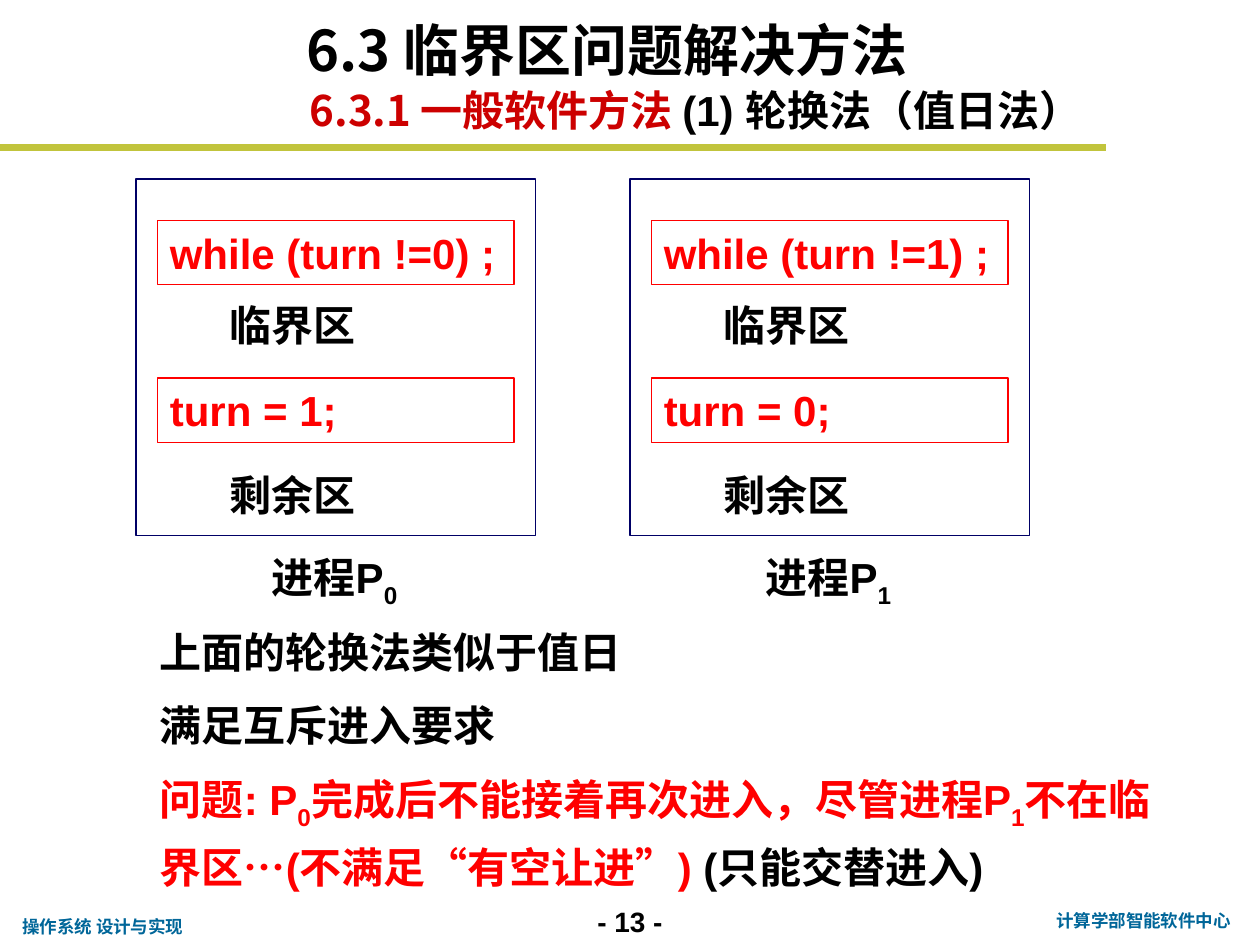
"""Build the slide on the turn-taking method for critical sections."""
from dataclasses import dataclass

from pptx import Presentation
from pptx.dml.color import RGBColor as Rgb
from pptx.enum.shapes import MSO_CONNECTOR as Conn, MSO_SHAPE as Form
from pptx.enum.text import MSO_ANCHOR as Anchor, MSO_AUTO_SIZE as Auto, PP_ALIGN as Align
from pptx.oxml import parse_xml
from pptx.oxml.ns import nsdecls
from pptx.util import Inches, Pt


@dataclass
class Theme:
    black: str = "000000"
    red: str = "FF0000"
    crimson: str = "CC0000"
    navy: str = "000066"
    teal: str = "006699"
    olive: str = "C1C43C"
    latin: str = "Arial"
    han: str = "Noto Sans CJK SC"
    foot: str = "Roboto"
    head: int = 32
    body: int = 24
    page: int = 16
    small: int = 10


theme = Theme()


def write(shape, parts, size=theme.body, font=theme.latin, align=Align.LEFT, wrap=True):
    frame = shape.text_frame
    frame.word_wrap = wrap
    frame.auto_size = Auto.NONE
    para = frame.paragraphs[0]
    para.alignment = align
    for text, color, *sub in parts:
        run = para.add_run()
        run.text = text
        run.font.size = Pt(size)
        run.font.name = font
        run.font.bold = True
        run.font.color.rgb = Rgb.from_string(color)
        if sub:
            run.font._element.set("baseline", "-25000")
    return para


def frame_box(shapes, area, color):
    box = shapes.add_shape(Form.RECTANGLE, *map(Inches, area))
    box.shadow.inherit = False
    box.fill.background()
    box.line.color.rgb = Rgb.from_string(color)
    box.line.width = Pt(0.75)
    return box


deck = Presentation()
deck.slide_width, deck.slide_height = Inches(10), Inches(7.5)
slide = deck.slides.add_slide(deck.slide_layouts[5])
shapes = slide.shapes

title = shapes.title
title.left, title.top = Inches(2.33), Inches(0.08)
title.width, title.height = Inches(5.5), Inches(0.63)
write(title, [("6.3 临界区问题解决方法", theme.black)], theme.head, theme.han)
title.text_frame.vertical_anchor = Anchor.BOTTOM

sub = shapes.add_textbox(*map(Inches, (2.36, 0.66, 6.64, 0.42)))
para = write(sub, [("6.3.1 一般软件方法 ", theme.crimson), ("(1) 轮换法（值日法）", theme.black)],
             font=theme.han, wrap=False)
para.runs[1].font.name = theme.latin
sub.text_frame.vertical_anchor = Anchor.MIDDLE

rule = shapes.add_connector(Conn.STRAIGHT, *map(Inches, (0, 1.17, 8.78, 1.17)))
rule.line.color.rgb = Rgb.from_string(theme.olive)
rule.line.width = Pt(4)
rule._element.spPr.append(parse_xml(f"<a:effectLst {nsdecls('a')}/>"))

for num, left in enumerate((1.08, 5)):
    group = shapes.add_group_shape().shapes
    frame_box(group, (left, 1.42, 3.17, 2.83), theme.navy)
    for top, code in ((1.75, f"while (turn !={num}) ;"), (3, f"turn = {1 - num};")):
        box = frame_box(group, (left + 0.17, top, 2.83, 0.51), theme.red)
        write(box, [(code, theme.red)])
    for top, name in ((2.33, "临界区"), (3.68, "剩余区")):
        label = group.add_textbox(*map(Inches, (left + 0.33, top, 1.83, 0.5)))
        write(label, [(name, theme.black)], align=Align.CENTER)
    label = group.add_textbox(*map(Inches, (left + 0.45, 4.33, 2.25, 0.5)))
    write(label, [("进程P", theme.black), (str(num), theme.black, True)], align=Align.CENTER)

notes = (
    (4.84, 0.58, [("上面的轮换法类似于值日", theme.black)]),
    (5.42, 0.58, [("满足互斥进入要求", theme.black)]),
    (6, 1.07, [("问题: P", theme.red), ("0", theme.red, True),
               ("完成后不能接着再次进入，尽管进程P", theme.red), ("1", theme.red, True),
               ("不在临界区…(不满足“有空让进”) ", theme.red), ("(只能交替进入)", theme.black)]),
)
for top, high, parts in notes:
    note = shapes.add_textbox(*map(Inches, (0.67, top, 8.75, high)))
    para = write(note, parts)
    para.level = 1
    para.line_spacing = 1.2
    para._p.get_or_add_pPr().set("marL", str(Inches(0.5)))

feet = (
    ((4.5, 7.13, 1, 0.37), "- 13 -", theme.black, theme.page, theme.latin, Align.CENTER, True),
    ((8.25, 7.17, 1.65, 0.27), "计算学部智能软件中心", theme.teal, theme.small, theme.foot, Align.CENTER, True),
    ((0.08, 7.22, 1.5, 0.27), "操作系统 设计与实现", theme.teal, theme.small, theme.foot, Align.LEFT, False),
)
for area, text, color, size, font, align, wrap in feet:
    foot = shapes.add_textbox(*map(Inches, area))
    write(foot, [(text, color)], size, font, align, wrap)

deck.save("out.pptx")
